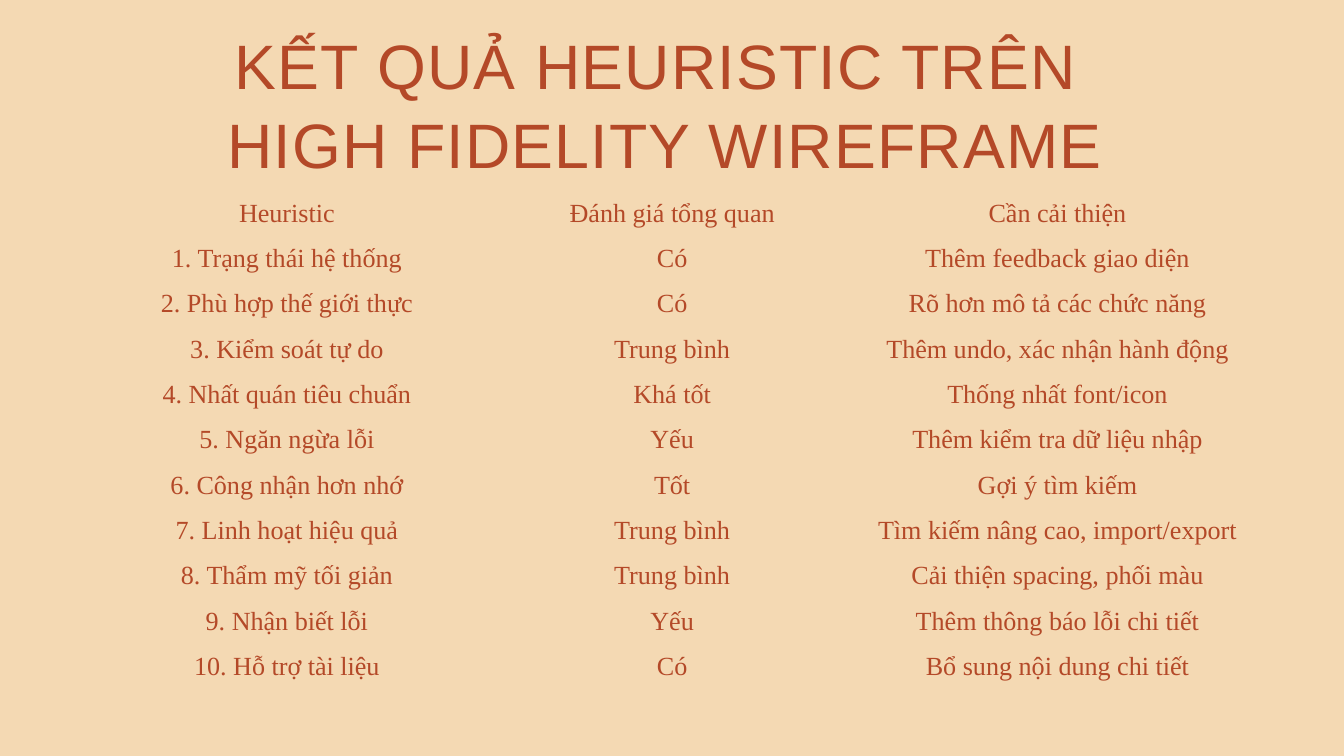
from pptx import Presentation
from pptx.dml.color import RGBColor
from pptx.enum.text import MSO_ANCHOR, PP_ALIGN
from pptx.oxml.ns import qn
from pptx.util import Cm, Pt

SAND = "F4D9B3"
RUST = "B44928"
NO_GRID_STYLE = "{2D5ABB26-0587-4C30-8999-92F81FD0307C}"

TITLE_LINES = ["KẾT QUẢ HEURISTIC TRÊN ", "HIGH FIDELITY WIREFRAME"]
RATINGS = [
    ("Heuristic", "Đánh giá tổng quan", "Cần cải thiện"),
    ("1. Trạng thái hệ thống", "Có", "Thêm feedback giao diện"),
    ("2. Phù hợp thế giới thực", "Có", "Rõ hơn mô tả các chức năng"),
    ("3. Kiểm soát tự do", "Trung bình", "Thêm undo, xác nhận hành động"),
    ("4. Nhất quán tiêu chuẩn", "Khá tốt", "Thống nhất font/icon"),
    ("5. Ngăn ngừa lỗi", "Yếu", "Thêm kiểm tra dữ liệu nhập"),
    ("6. Công nhận hơn nhớ", "Tốt", "Gợi ý tìm kiếm"),
    ("7. Linh hoạt hiệu quả", "Trung bình", "Tìm kiếm nâng cao, import/export"),
    ("8. Thẩm mỹ tối giản", "Trung bình", "Cải thiện spacing, phối màu"),
    ("9. Nhận biết lỗi", "Yếu", "Thêm thông báo lỗi chi tiết"),
    ("10. Hỗ trợ tài liệu", "Có", "Bổ sung nội dung chi tiết"),
]


def color(value):
    return RGBColor.from_string(value)


def add_span(para, text, font_name, size):
    para.alignment = PP_ALIGN.CENTER
    span = para.add_run()
    span.text = text
    span.font.name = font_name
    span.font.size = Pt(size)
    span.font.color.rgb = color(RUST)
    return span


def set_margins(target, margin):
    target.margin_left = target.margin_right = margin
    target.margin_top = target.margin_bottom = margin


def add_title(page, left, top, width, height):
    box = page.shapes.add_textbox(left, top, width, height)
    frame = box.text_frame
    frame.word_wrap = True
    set_margins(frame, 0)
    for index, line in enumerate(TITLE_LINES):
        para = frame.add_paragraph() if index else frame.paragraphs[0]
        para.line_spacing = Pt(84)
        span = add_span(para, line, "Arial", 67.2)
        span.font._element.set("spc", "130")


def add_ratings(page, left, top, width, height):
    shape = page.shapes.add_table(len(RATINGS), len(RATINGS[0]), left, top, width, height)
    table = shape.table
    table.first_row = False
    table.horz_banding = False
    table._tbl.tblPr.find(qn("a:tableStyleId")).text = NO_GRID_STYLE
    for row_index, row in enumerate(RATINGS):
        for column_index, text in enumerate(row):
            cell = table.cell(row_index, column_index)
            cell.fill.background()
            cell.vertical_anchor = MSO_ANCHOR.MIDDLE
            set_margins(cell, Cm(0.13))
            add_span(cell.text_frame.paragraphs[0], text, "Times New Roman", 28)


def main():
    deck = Presentation()
    deck.slide_width = Cm(50.8)
    deck.slide_height = Cm(28.58)
    page = deck.slides.add_slide(deck.slide_layouts[6])
    page.background.fill.solid()
    page.background.fill.fore_color.rgb = color(SAND)
    add_title(page, Cm(4.75), Cm(0.91), Cm(40.77), Cm(5.94))
    add_ratings(page, Cm(3.56), Cm(7.21), Cm(43.69), Cm(18.85))
    deck.save("out.pptx")


if __name__ == "__main__":
    main()
